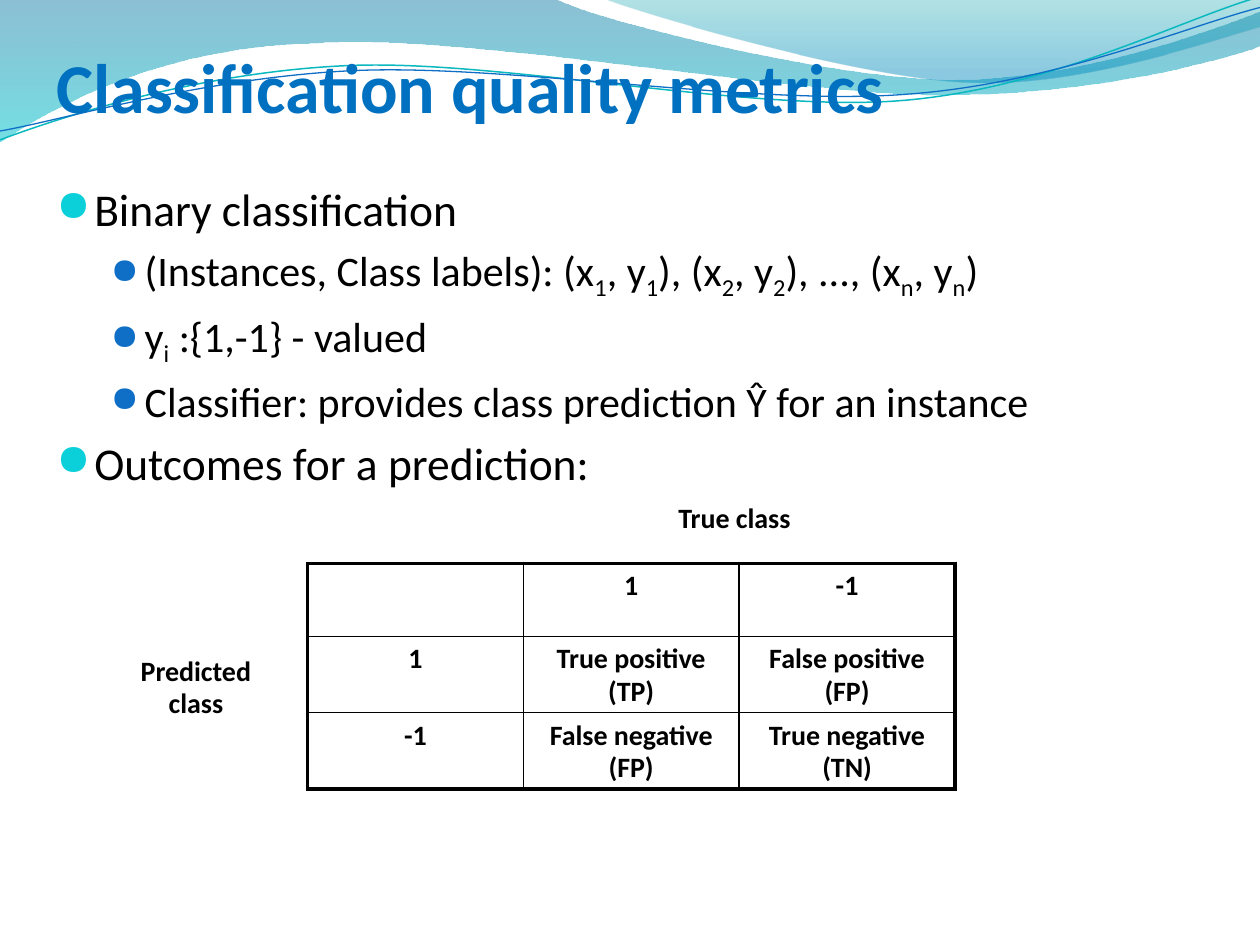
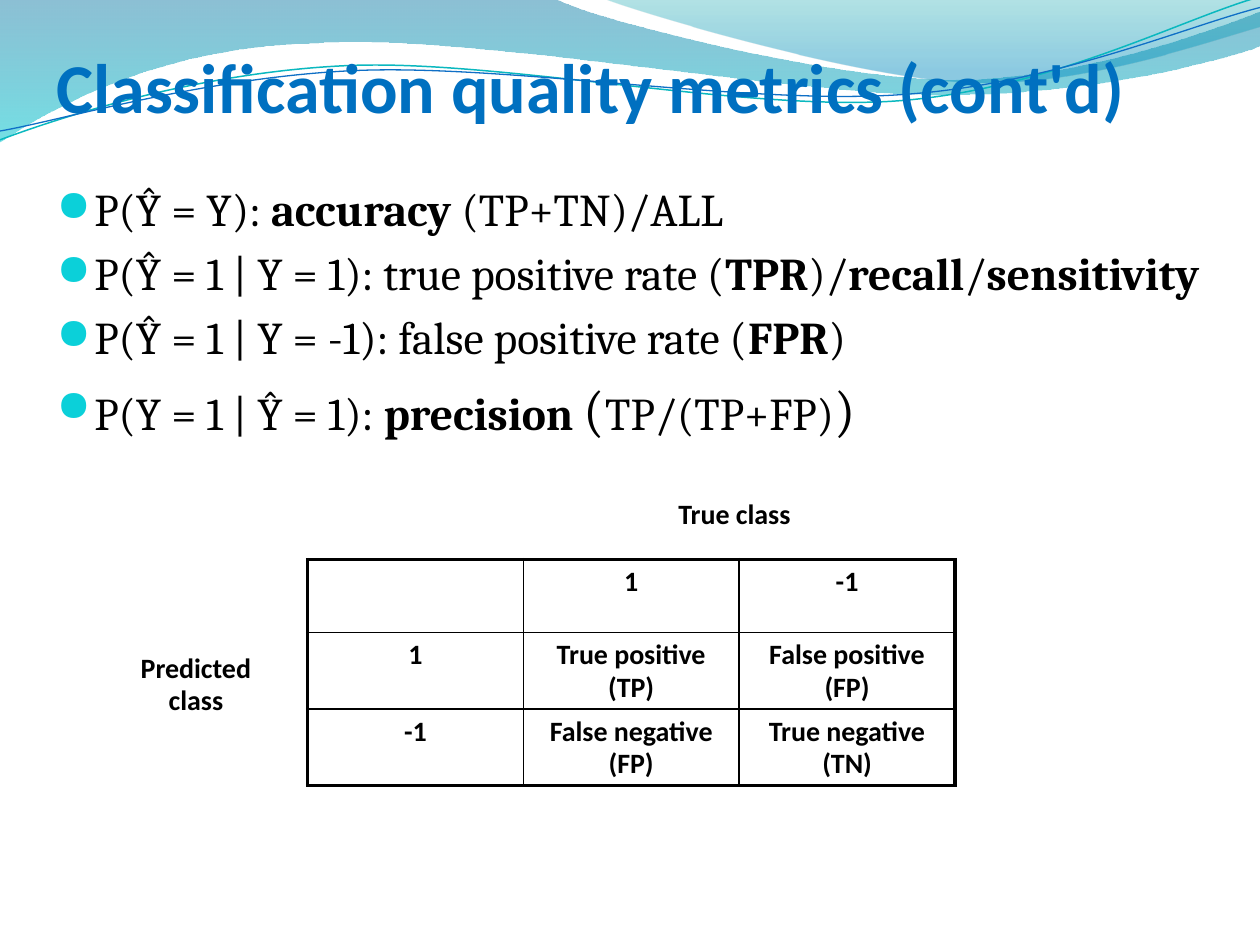
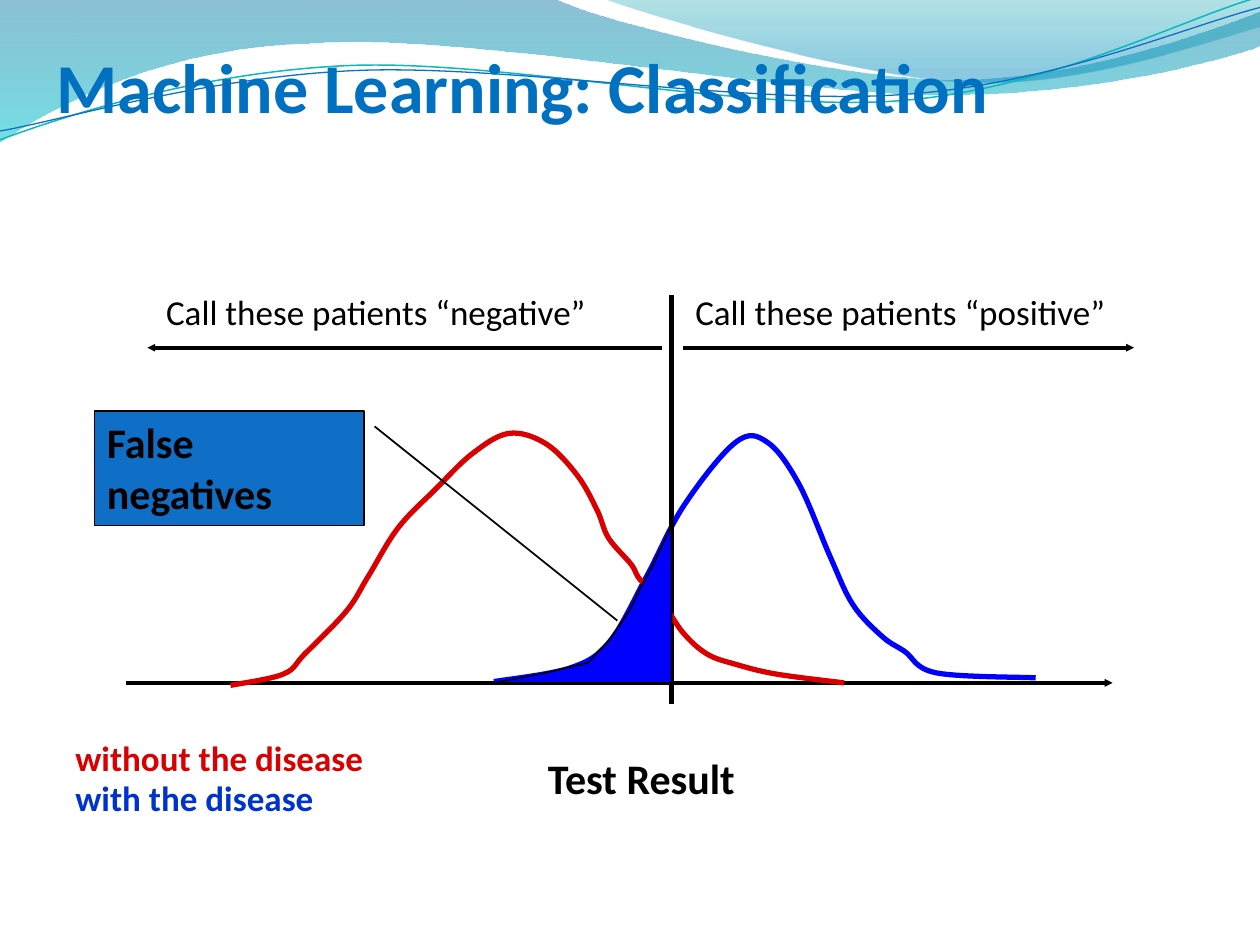
from math import cos, radians, sin

from lxml import etree
from pptx import Presentation
from pptx.dml.color import RGBColor
from pptx.enum.shapes import MSO_CONNECTOR, MSO_SHAPE
from pptx.enum.text import MSO_ANCHOR, MSO_AUTO_SIZE, PP_ALIGN
from pptx.oxml.ns import qn
from pptx.util import Inches, Pt

STRAIGHT = MSO_CONNECTOR.STRAIGHT
CALLOUT = MSO_SHAPE.LINE_CALLOUT_1
TOP = MSO_ANCHOR.TOP
GROW = MSO_AUTO_SIZE.SHAPE_TO_FIT_TEXT
LEFT, CENTER = PP_ALIGN.LEFT, PP_ALIGN.CENTER

BLANK_LAYOUT = 6
COLUMNS, ROWS = 10, 7.5
STRAND_TILT = 357.3

BLACK, RED, BLUE, NAVY = "000000", "D80000", "0000FF", "0033CC"
TITLE_BLUE, ACCENT_BLUE, ACCENT_CYAN, ACCENT_TEAL = "0070C0", "0F6FC6", "0BD0D9", "0AB8BF"

TITLE = {"size": Pt(40), "name": "Calibri", "bold": True}
HEADING = {"size": Pt(24), "name": "Calibri", "bold": True}
CAPTION = {"size": Pt(20), "name": "Calibri", "bold": False}
LEGEND = {**CAPTION, "bold": True}
MATRIX = {"size": Pt(16), "name": "Calibri", "bold": True}
BODY = {"size": Pt(26), "name": "Calibri", "bold": False}
SUBPOINT = {**BODY, "size": Pt(24)}
SUBSCRIPT = {**SUBPOINT, "subscript": True}
FORMULA = {**BODY, "name": "Cambria"}
TERM = {**FORMULA, "bold": True}
BIG_BRACKET = {**FORMULA, "size": Pt(32)}

BULLETS = [
    {"indent": 0.3, "hanging": 0.3, "color": ACCENT_CYAN, "percent": 95},
    {"indent": 0.7, "hanging": 0.27, "color": ACCENT_BLUE, "percent": 85},
]

WIDE_WAVE = [
    ((0, 0),), ((4.4, -0.01),),
    ((4.76, 0.17), (6.64, 0.63), (7.58, 0.63)),
    ((8.53, 0.63), (9.58, 0.26), (10, 0.09)),
    ((10.01, 0.36),),
    ((9.83, 0.44), (8.7, 0.76), (7.46, 0.75)),
    ((6.22, 0.75), (3.82, 0.28), (2.57, 0.34)),
    ((1.29, 0.36), (0.46, 0.83), (-0.01, 1.13)),
    ((0, 0),),
]
RIGHT_WAVE = [
    ((4.79, -0.01),),
    ((5.09, 0.11), (6.82, 0.62), (7.69, 0.65)),
    ((8.56, 0.69), (9.61, 0.32), (10, 0.21)),
    ((10, 0),), ((4.79, -0.01),),
]
TEAL_STRAND = [
    ((0, 1.11),),
    ((0.48, 0.93), (1.58, 0.57), (2.77, 0.52)),
    ((3.95, 0.47), (5.93, 0.89), (7.13, 0.8)),
    ((8.33, 0.71), (9.38, 0.15), (9.98, -0.02)),
]
BLUE_STRAND = [
    ((0, 1.04),),
    ((0.47, 0.96), (1.64, 0.61), (2.83, 0.56)),
    ((4.03, 0.51), (5.97, 0.84), (7.17, 0.75)),
    ((8.36, 0.67), (9.41, 0.21), (10, 0.06)),
]
DISEASE_CURVE = [
    (3.92, 5.41), (4.53, 5.3), (4.84, 5.09), (5.13, 4.58), (5.43, 4.01), (5.84, 3.51),
    (6.09, 3.51), (6.34, 3.84), (6.59, 4.42), (6.77, 4.8), (7, 5.05), (7.18, 5.17),
    (7.43, 5.34), (8.22, 5.38),
]
HEALTHY_CURVE = [
    (1.83, 5.44), (2.25, 5.35), (2.42, 5.19), (2.75, 4.85), (2.92, 4.58), (3.16, 4.19),
    (3.46, 3.88), (3.75, 3.6), (4.04, 3.44), (4.33, 3.52), (4.58, 3.77), (4.74, 4.05),
    (4.83, 4.27), (5.01, 4.48), (5.08, 4.6), (5.25, 4.77), (5.42, 5.02), (5.61, 5.19),
    (5.83, 5.27), (6.16, 5.35), (6.7, 5.42),
]
FALSE_NEGATIVE_AREA = [
    (5.33, 4.17), (5.33, 5.42), (3.92, 5.42), (4.33, 5.34), (4.67, 5.26), (4.75, 5.17),
    (4.83, 5.09), (5, 4.84), (5.08, 4.67), (5.17, 4.51), (5.33, 4.17),
]
OUTCOMES = [
    ["", "1", "-1"],
    ["1", "True positive (TP)", "False positive\n(FP)"],
    ["-1", "False negative\n(FP)", "True negative\n(TN)"],
]


def rgb(value):
    return RGBColor.from_string(value)


def add_xml(parent, tag, **attributes):
    return etree.SubElement(parent, qn(tag), attributes)


def marked(text, plain, emphasis):
    return [(part, emphasis if index % 2 else plain)
            for index, part in enumerate(text.split("~")) if part]


def spline(anchors):
    padded = [anchors[0], *anchors, anchors[-1]]
    segments = [(anchors[0],)]
    for before, start, end, after in zip(padded, padded[1:], padded[2:], padded[3:]):
        leaving = tuple(s + (e - b) / 6 for b, s, e in zip(before, start, end))
        arriving = tuple(e - (a - s) / 6 for s, e, a in zip(start, end, after))
        segments.append((leaving, arriving, end))
    return segments


def turned(segments, pivot, degrees):
    cosine, sine = cos(radians(degrees)), sin(radians(degrees))
    return [tuple((pivot[0] + cosine * (x - pivot[0]) - sine * (y - pivot[1]),
                   pivot[1] + sine * (x - pivot[0]) + cosine * (y - pivot[1]))
                  for x, y in segment) for segment in segments]


class Deck:
    def __init__(self):
        self.presentation = Presentation()
        self.presentation.slide_width = Inches(10)
        self.presentation.slide_height = Inches(7.5)
        self.layout = self.presentation.slide_layouts[BLANK_LAYOUT]
        self.slide = None

    def across(self, columns):
        return round(self.presentation.slide_width * columns / COLUMNS)

    def down(self, rows):
        return round(self.presentation.slide_height * rows / ROWS)

    def box(self, left, top, width, height):
        return self.across(left), self.down(top), self.across(width), self.down(height)

    def new_slide(self, title):
        self.slide = self.presentation.slides.add_slide(self.layout)
        if len(self.presentation.slides) == 1:
            self.share_waves()
        self.text((0.35, 0.3, 9.4, 0.95), title, TITLE, TITLE_BLUE, grow=False)

    def share_waves(self):
        shared = self.layout.shapes.element
        for placeholder in list(self.layout.placeholders):
            shared.remove(placeholder.element)
        self.gradient_wave(WIDE_WAVE, [(0, "0074A1", 45), (1, "00C6CF", 55)])
        self.gradient_wave(RIGHT_WAVE, [(0, "00A1A9", 30), (0.8, "008BBF", 45)])
        self.strand(TEAL_STRAND, (4.99, 0.58), ACCENT_TEAL, 0.85)
        self.strand(BLUE_STRAND, (5, 0.59), ACCENT_BLUE, 0.75)
        for shape in list(self.slide.shapes):
            shared.append(shape.element)

    def outline(self, segments, color=None, width=1, fill=None, close=False):
        points = [(self.across(x), self.down(y)) for segment in segments for x, y in segment]
        builder = self.slide.shapes.build_freeform(*points[0])
        builder.add_line_segments(points[1:], close=close)
        shape = builder.convert_to_shape()
        self.bend(shape, segments)
        self.paint(shape, fill, color, width)
        return shape

    def bend(self, shape, segments):
        outline = next(shape.element.iter(qn("a:path")))
        steps = iter(list(outline)[1:])
        for segment in segments[1:]:
            taken = [next(steps) for _ in segment]
            if len(taken) == 3:
                curve = etree.Element(qn("a:cubicBezTo"))
                taken[0].addprevious(curve)
                for step in taken:
                    curve.append(step[0])
                    outline.remove(step)

    def strand(self, segments, pivot, color, width):
        level = turned(segments, pivot, 360 - STRAND_TILT)
        self.outline(level, color, width).rotation = STRAND_TILT

    def paint(self, shape, fill, color, width):
        shape.shadow.inherit = False
        if fill:
            shape.fill.solid()
            shape.fill.fore_color.rgb = rgb(fill)
        else:
            shape.fill.background()
        if color:
            shape.line.color.rgb = rgb(color)
            shape.line.width = Pt(width)
        else:
            shape.line.fill.background()

    def gradient_wave(self, segments, stops):
        shape = self.outline(segments, close=True)
        shape.fill.gradient()
        shape.fill.gradient_angle = 270
        for stop, (position, color, _) in zip(shape.fill.gradient_stops, stops):
            stop.position = position
            stop.color.rgb = rgb(color)
        for element, (_, _, opacity) in zip(shape.element.iter(qn("a:srgbClr")), stops):
            add_xml(element, "a:alpha", val=str(opacity * 1000))

    def write_run(self, paragraph, text, style, color):
        for index, part in enumerate(text.split("\n")):
            if index:
                paragraph.add_line_break()
            run = paragraph.add_run()
            run.text = part
            run.font.color.rgb = rgb(color)
            for name, value in style.items():
                if name == "subscript":
                    run.font._element.set("baseline", "-25000")
                else:
                    setattr(run.font, name, value)

    def space_before(self, paragraph, percent):
        properties = paragraph._p.get_or_add_pPr()
        spacing = add_xml(properties, "a:spcBef")
        add_xml(spacing, "a:spcPct", val=str(percent * 1000))
        return properties

    def fill_text(self, frame, text, style, color, align=LEFT):
        frame.vertical_anchor = TOP
        paragraph = frame.paragraphs[0]
        paragraph.alignment = align
        self.write_run(paragraph, text, style, color)
        return paragraph

    def matrix_text(self, frame, text):
        paragraph = self.fill_text(frame, text, MATRIX, BLACK, CENTER)
        paragraph.line_spacing = 0.95
        self.space_before(paragraph, 75)

    def text(self, place, text, style, color=BLACK, grow=True):
        frame = self.slide.shapes.add_textbox(*self.box(*place)).text_frame
        frame.word_wrap = True
        if grow:
            frame.auto_size = GROW
        self.fill_text(frame, text, style, color)

    def matrix_label(self, place, text):
        frame = self.slide.shapes.add_textbox(*self.box(*place)).text_frame
        frame.word_wrap = False
        frame.auto_size = GROW
        self.matrix_text(frame, text)

    def bullets(self, width, points):
        frame = self.slide.shapes.add_textbox(*self.box(0.35, 1.39, width, 4.8)).text_frame
        frame.word_wrap = True
        for index, (level, runs) in enumerate(points):
            paragraph = frame.add_paragraph() if index else frame.paragraphs[0]
            paragraph.level = level
            bullet = BULLETS[level]
            properties = self.space_before(paragraph, 20)
            properties.set("marL", str(self.across(bullet["indent"])))
            properties.set("indent", str(-self.across(bullet["hanging"])))
            color = add_xml(properties, "a:buClr")
            add_xml(color, "a:srgbClr", val=bullet["color"])
            add_xml(properties, "a:buSzPct", val=str(bullet["percent"] * 1000))
            add_xml(properties, "a:buFont", typeface="OpenSymbol")
            add_xml(properties, "a:buChar", char="●")
            for text, style in runs:
                self.write_run(paragraph, text, style, BLACK)

    def confusion_matrix(self, top):
        size = len(OUTCOMES)
        frame = self.slide.shapes.add_table(size, size, *self.box(2.44, top, 5.14, 1.8))
        table = frame.table
        table.first_row = table.horz_banding = False
        for column in table.columns:
            column.width = self.across(5.14 / size)
        for row in table.rows:
            row.height = self.down(0.58)
        frame.height = self.down(1.8)
        for index, element in enumerate(frame.element.iter(qn("a:tc"))):
            row, column = divmod(index, size)
            outer = {"L": column == 0, "R": column == size - 1,
                     "T": row == 0, "B": row == size - 1}
            for side, is_outer in outer.items():
                border = add_xml(element.get_or_add_tcPr(), "a:ln" + side,
                                 w=str(Pt(2.25 if is_outer else 1)))
                add_xml(add_xml(border, "a:solidFill"), "a:srgbClr", val=BLACK)
            cell = table.cell(row, column)
            cell.fill.background()
            if OUTCOMES[row][column]:
                self.matrix_text(cell.text_frame, OUTCOMES[row][column])
        self.matrix_label((5.28, top - 0.53, 1.1, 0.36), "True class")
        self.matrix_label((1.01, top + 0.69, 1.09, 0.61), "Predicted\nclass")

    def line(self, start, end, width=2.25, arrow=True):
        connector = self.slide.shapes.add_connector(
            STRAIGHT, self.across(start[0]), self.down(start[1]),
            self.across(end[0]), self.down(end[1]))
        connector.line.color.rgb = rgb(BLACK)
        connector.line.width = Pt(width)
        if arrow:
            add_xml(connector.line._get_or_add_ln(), "a:tailEnd",
                    type="triangle", w="sm", len="sm")
        add_xml(connector.element.spPr, "a:effectLst")

    def callout(self, place, text, adjustments):
        shape = self.slide.shapes.add_shape(CALLOUT, *self.box(*place))
        for index, value in enumerate(adjustments):
            shape.adjustments[index] = value
        self.paint(shape, ACCENT_BLUE, BLACK, 1)
        shape.text_frame.word_wrap = True
        shape.text_frame.auto_size = GROW
        self.fill_text(shape.text_frame, text, HEADING, BLACK)


deck = Deck()

deck.new_slide("Classification quality metrics")
deck.bullets(9, [
    (0, [("Binary classification", BODY)]),
    (1, marked("(Instances, Class labels): (x~1~, y~1~), (x~2~, y~2~), ..., (x~n~, y~n~)",
               SUBPOINT, SUBSCRIPT)),
    (1, marked("y~i~ :{1,-1} - valued", SUBPOINT, SUBSCRIPT)),
    (1, [("Classifier: provides class prediction Ŷ for an instance", SUBPOINT)]),
    (0, [("Outcomes for a prediction:", BODY)]),
])
deck.confusion_matrix(4.47)

deck.new_slide("Classification quality metrics (cont'd)")
formulas = [marked(text, FORMULA, TERM) for text in (
    "P(Ŷ = Y): ~accuracy~ (TP+TN)/ALL",
    "P(Ŷ = 1 | Y = 1): true positive rate (~TPR~)/~recall~/~sensitivity",
    "P(Ŷ = 1 | Y = -1): false positive rate (~FPR~)",
    "P(Y = 1 | Ŷ = 1): ~precision ",
)]
formulas[-1] += [("(", BIG_BRACKET), ("TP/(TP+FP)", FORMULA), (")", BIG_BRACKET)]
deck.bullets(9.65, [(0, runs) for runs in formulas])
deck.confusion_matrix(4.44)

deck.new_slide("Machine Learning: Classification")
deck.line((1, 5.42), (8.83, 5.42))
deck.text((4.25, 5.92, 2.75, 0.5), "Test Result", HEADING)
deck.outline(spline(DISEASE_CURVE), BLUE, 3)
deck.line((5.33, 2.34), (5.33, 5.59), width=3, arrow=False)
deck.line((5.25, 2.76), (1.17, 2.76))
deck.line((5.42, 2.76), (9, 2.76))
deck.outline(spline(HEALTHY_CURVE), RED, 3)
deck.outline([(point,) for point in FALSE_NEGATIVE_AREA], BLACK, 1, fill=BLUE, close=True)
deck.callout((0.75, 3.26, 2.14, 0.91), "False negatives", (0.137, 1.039, 1.831, 1.939))
deck.text((5.42, 2.26, 4.33, 0.43), "Call these patients “positive”", CAPTION)
deck.text((1.22, 2.26, 4.33, 0.43), "Call these patients “negative”", CAPTION)
deck.text((0.5, 5.8, 2.53, 0.43), "without the disease", LEGEND, RED)
deck.text((0.5, 6.11, 2.61, 0.43), "with the disease", LEGEND, NAVY)

deck.presentation.save("out.pptx")
